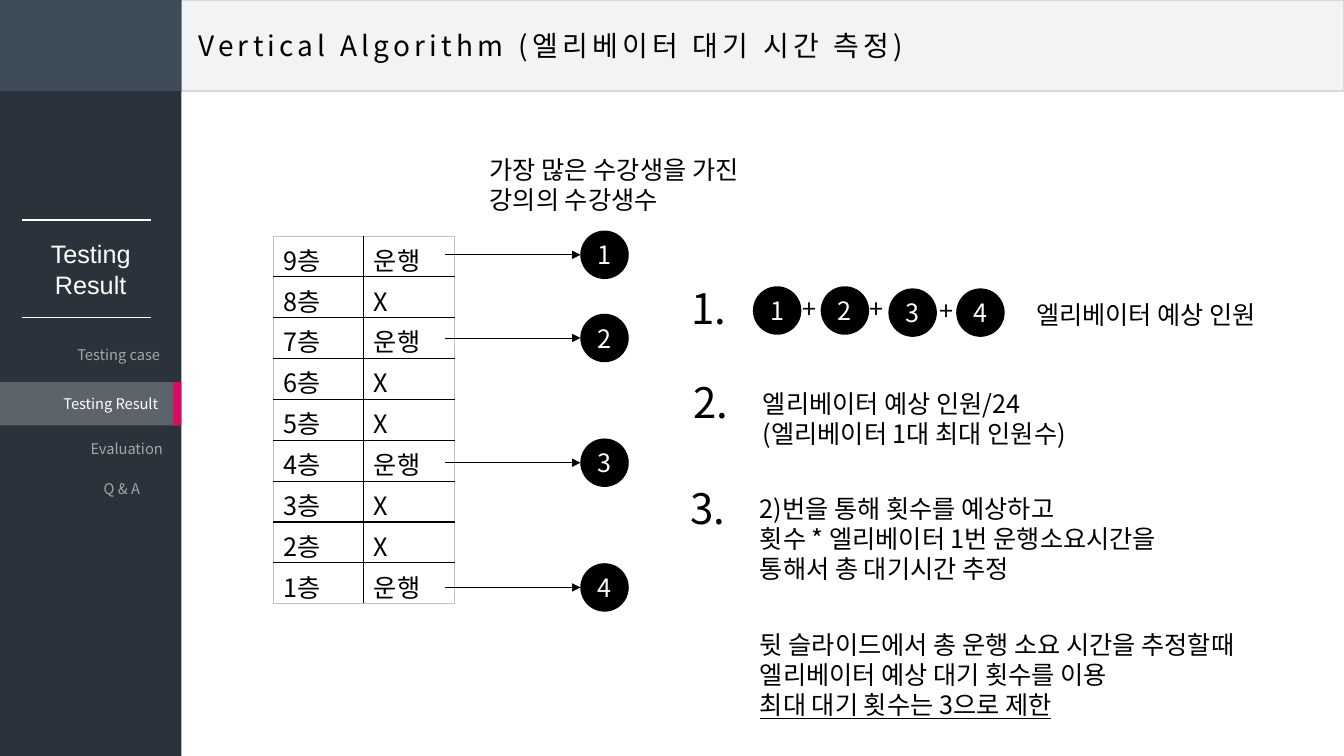
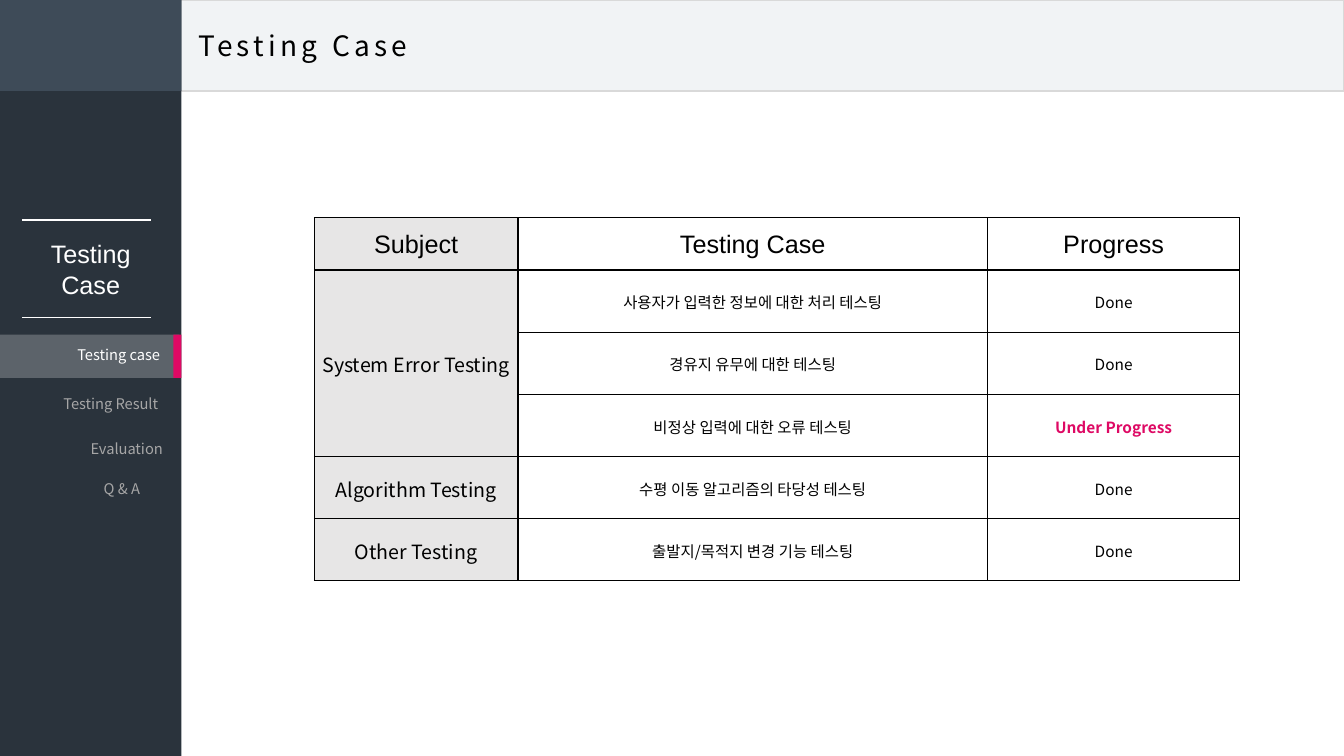
from pptx import Presentation
from pptx.dml.color import RGBColor
from pptx.enum.shapes import MSO_CONNECTOR as LINE, MSO_SHAPE as SHAPE
from pptx.enum.text import MSO_ANCHOR as ANCHOR, PP_ALIGN as ALIGN
from pptx.oxml.ns import qn
from pptx.util import Pt
from lxml.etree import SubElement

COLORS = {
    "black": "000000", "white": "FFFFFF", "header": "F1F3F5", "edge": "D9D9D9",
    "sidebar": "2A333C", "corner": "3E4B58", "accent": "DE0964",
    "muted": "A6A6A6", "subject": "E7E6E6", "frame": "C0C0C0",
}
RGB = {name: RGBColor.from_string(value) for name, value in COLORS.items()}
SANS, ARIAL = "Noto Sans CJK KR", "Arial"


def write(target, text, size=18, color="black", font=SANS, align=ALIGN.LEFT,
          bold=False, tracking=0, spacing=None, underlined=None):
    """Set the text of a shape or cell, one paragraph per line."""
    frame = target.text_frame
    for number, line in enumerate(text.split("\n")):
        para = frame.add_paragraph() if number else frame.paragraphs[0]
        para.alignment = align
        para.line_spacing = spacing
        span = para.add_run()
        span.text = line
        span.font.size = Pt(size)
        span.font.bold = bold
        span.font.underline = number == underlined
        span.font.color.rgb = RGB[color]
        span.font.name = font
        properties = span.font._element
        SubElement(properties, qn("a:ea")).set("typeface", font)
        if tracking:
            properties.set("spc", str(tracking * 100))


def draw(page, at, kind=None, fill=None, edge=None, wrap=True):
    """Add a filled shape, or a text box when no kind is given."""
    place = [Pt(length) for length in at]
    if kind is None:
        box = page.shapes.add_textbox(*place)
    else:
        box = page.shapes.add_shape(kind, *place)
        box.shadow.inherit = False
        box.fill.solid()
        box.fill.fore_color.rgb = RGB[fill]
        if edge:
            box.line.color.rgb = RGB[edge]
            box.line.width = Pt(1)
        else:
            box.line.fill.background()
        box.text_frame.vertical_anchor = ANCHOR.MIDDLE
    box.text_frame.word_wrap = wrap
    return box


deck = Presentation()
deck.slide_width, deck.slide_height = Pt(960), Pt(540)

# Shared header and sidebar: title, title width, heading, active item
PAGES = [
    ("Vertical Algorithm (엘리베이터 대기 시간 측정)", 548.6, "Testing\nResult", "Testing Result"),
    ("Testing Case", 165, "Testing\nCase", "Testing case"),
]
MENU = [
    ("Testing case", (48.2, 243.4, 75, 20.5), True),
    ("Testing Result", (38.2, 278.6, 85.7, 20.2), True),
    ("Evaluation", (57.6, 310.3, 70, 20.2), True),
    ("Q & A", (67, 339.1, 46, 20.2), False),
]
HIGHLIGHT_TOPS = {"Testing case": 239, "Testing Result": 272.9}
pages = []
for title, title_width, heading, active in PAGES:
    page = deck.slides.add_slide(deck.slide_layouts[6])
    pages.append(page)
    draw(page, (113, 0, 847, 65), SHAPE.RECTANGLE, "header", "edge")
    draw(page, (0, 0, 129.6, 540), SHAPE.RECTANGLE, "sidebar")
    draw(page, (0, 0, 129.6, 65), SHAPE.RECTANGLE, "corner")
    for top, width in ((157, 1.5), (226.6, 1)):
        rule = page.shapes.add_connector(LINE.STRAIGHT, Pt(16), Pt(top), Pt(108), Pt(top))
        rule.line.color.rgb = RGB["white"]
        rule.line.width = Pt(width)
        SubElement(rule._element.spPr, qn("a:effectLst"))

    # Translucent highlight with an accent bar
    highlight_top = HIGHLIGHT_TOPS[active]
    highlight = draw(page, (0, highlight_top, 128.2, 31), SHAPE.RECTANGLE, "white")
    tint = next(highlight._element.spPr.iter(qn("a:srgbClr")))
    SubElement(tint, qn("a:alpha")).set("val", "24000")
    draw(page, (123.8, highlight_top, 5.8, 31), SHAPE.RECTANGLE, "accent")

    write(draw(page, (134.6, 16.6, title_width, 31.5), wrap=False), title, size=20, tracking=3)
    write(draw(page, (28.8, 167, 72, 51), wrap=False), heading,
          color="white", font=ARIAL, align=ALIGN.CENTER)
    for item, at, wrap in MENU:
        write(draw(page, at, wrap=wrap), item, size=10.5,
              color="white" if item == active else "muted")

result_page, case_page = pages

# Floor table: the lift stops at some floors only
STOPS = (9, 7, 4, 1)
FLOORS = range(9, 0, -1)
floor_table = result_page.shapes.add_table(
    len(FLOORS), 2, Pt(195.1), Pt(168.5), Pt(129.6), Pt(262.8)).table
for row, floor in enumerate(FLOORS):
    floor_table.rows[row].height = Pt(29.2)
    for column, text in enumerate((f"{floor}층", "운행" if floor in STOPS else "X")):
        cell = floor_table.cell(row, column)
        cell.fill.background()
        write(cell, text)

# Numbered stops with arrows, then the sum of the same numbers
DOT = 34.6
dots = []
for index, floor in enumerate(STOPS):
    middle = 182 + 29.7 * (9 - floor)
    arrow = result_page.shapes.add_connector(
        LINE.STRAIGHT, Pt(318.2), Pt(middle), Pt(414.7), Pt(middle))
    arrow.line.color.rgb = RGB["black"]
    arrow.line.width = Pt(0.5)
    SubElement(arrow.line._get_or_add_ln(), qn("a:tailEnd")).set("type", "triangle")
    SubElement(arrow._element.spPr, qn("a:effectLst"))
    sum_top = 204.5 if index < 2 else 206
    dots += [(index + 1, 414.5, middle - DOT / 2), (index + 1, 537.8 + 48.4 * index, sum_top)]
for number, left, top in dots:
    dot = draw(result_page, (left, top, DOT, DOT), SHAPE.OVAL, "black")
    write(dot, str(number), color="white", align=ALIGN.CENTER)

# Explanations
NOTES = [
    ("가장 많은 수강생을 가진\n강의의 수강생수", (342.7, 106.6, 243.4, 51), {}),
    ("+", (566, 206, DOT, 29), {}),
    ("+", (614.2, 206, DOT, 29), {}),
    ("+", (663.8, 207.4, DOT, 29), {}),
    ("엘리베이터 예상 인원", (733, 210.2, 190.8, 29), {}),
    ("1.", (486.7, 198, 49.7, 44), {"size": 30}),
    ("2.", (488.2, 265.7, 49.7, 44), {"size": 30}),
    ("3.", (486, 341.3, 49.7, 44), {"size": 30}),
    ("엘리베이터 예상 인원/24\n(엘리베이터 1대 최대 인원수)", (537.8, 273.6, 262, 51), {}),
    ("2)번을 통해 횟수를 예상하고\n횟수 * 엘리베이터 1번 운행소요시간을 통해서 총 대기시간 추정",
     (535.7, 348.5, 329.8, 72.7), {}),
    ("뒷 슬라이드에서 총 운행 소요 시간을 추정할때 엘리베이터 예상 대기 횟수를 이용\n"
     "최대 대기 횟수는 3으로 제한", (535.7, 445.7, 406, 72.7), {"underlined": 1}),
]
for text, at, style in NOTES:
    write(draw(result_page, at), text, **style)

# Test case table: an empty subject continues the one above
CASES = [
    ("Subject", "Testing Case", "Progress"),
    ("System Error Testing", "사용자가 입력한 정보에 대한 처리 테스팅", "Done"),
    ("", "경유지 유무에 대한 테스팅", "Done"),
    ("", "비정상 입력에 대한 오류 테스팅", "Under Progress"),
    ("Algorithm Testing", "수평 이동 알고리즘의 타당성 테스팅", "Done"),
    ("Other Testing", "출발지/목적지 변경 기능 테스팅", "Done"),
]
case_table = case_page.shapes.add_table(
    len(CASES), 3, Pt(224.6), Pt(155.5), Pt(661), Pt(259.2)).table
for column, width in enumerate((145.4, 335.5, 180)):
    case_table.columns[column].width = Pt(width)
case_table.cell(1, 0).merge(case_table.cell(3, 0))
for row, texts in enumerate(CASES):
    case_table.rows[row].height = Pt(44.4 if row else 37.4)
    for column, text in enumerate(texts):
        cell = case_table.cell(row, column)
        cell.fill.solid()
        cell.fill.fore_color.rgb = RGB["white" if column else "subject"]
        cell.vertical_anchor = ANCHOR.MIDDLE
        cell.margin_left = cell.margin_right = Pt(5)
        cell.margin_top = cell.margin_bottom = 0
        if text:
            pending = text == "Under Progress"
            write(cell, text, size=18 if row == 0 else 11 if column else 14,
                  font=SANS if row else ARIAL, color="accent" if pending else "black",
                  bold=pending, align=ALIGN.CENTER, spacing=1.07)

# Cell borders, with a colour and width for the outer frame
for table, frame_color, frame_width in ((floor_table, "frame", 0.5), (case_table, "black", 1)):
    table.first_row = table.horz_banding = False
    last_row, last_column = len(table.rows) - 1, len(table.columns) - 1
    for row in range(last_row + 1):
        for column in range(last_column + 1):
            properties = table.cell(row, column)._tc.get_or_add_tcPr()
            sides = (("a:lnL", column == 0), ("a:lnR", column == last_column),
                     ("a:lnT", row == 0), ("a:lnB", row == last_row))
            for position, (side, outer) in enumerate(sides):
                border = SubElement(properties, qn(side))
                border.set("w", str(Pt(frame_width if outer else 1)))
                paint = SubElement(border, qn("a:solidFill"))
                SubElement(paint, qn("a:srgbClr")).set(
                    "val", COLORS[frame_color if outer else "black"])
                properties.insert(position, border)

deck.save("out.pptx")
